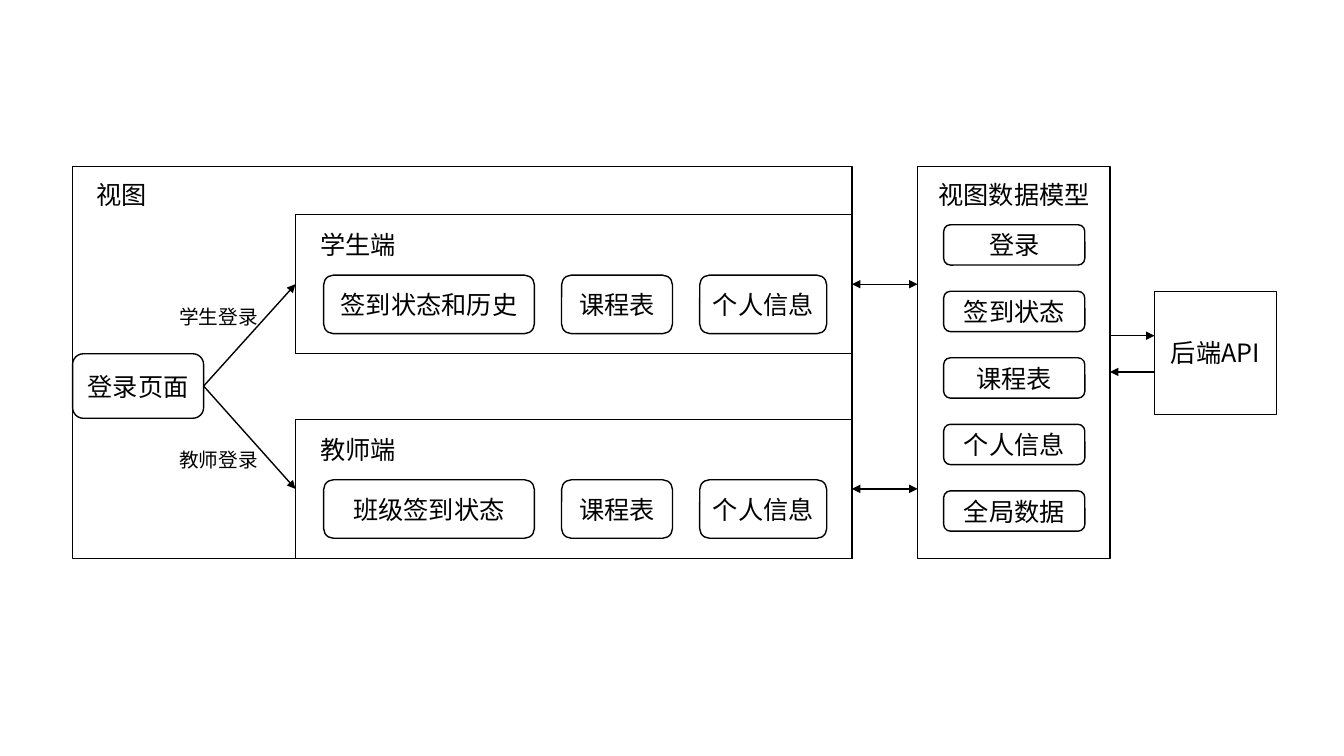
from dataclasses import dataclass

from lxml import etree
from pptx import Presentation
from pptx.dml.color import RGBColor
from pptx.enum.shapes import MSO_CONNECTOR, MSO_SHAPE
from pptx.enum.text import MSO_ANCHOR, MSO_AUTO_SIZE, PP_ALIGN
from pptx.oxml.ns import qn
from pptx.util import Inches, Pt

RECT, ROUND = MSO_SHAPE.RECTANGLE, MSO_SHAPE.ROUNDED_RECTANGLE
STRAIGHT = MSO_CONNECTOR.STRAIGHT
MIDDLE, CENTER, LEFT = MSO_ANCHOR.MIDDLE, PP_ALIGN.CENTER, PP_ALIGN.LEFT
GROW = MSO_AUTO_SIZE.SHAPE_TO_FIT_TEXT


@dataclass(frozen=True)
class Theme:
    font: str = "Noto Sans CJK SC"
    ink: RGBColor = RGBColor(0, 0, 0)
    body: int = 18
    small: int = 14
    line: float = 1


class Diagram:
    def __init__(self, s, theme):
        self.s, self.theme = s, theme

    def set_text(self, tf, text, size, align):
        p = tf.paragraphs[0]
        p.text, p.alignment = text, align
        p.font.size, p.font.name = Pt(size), self.theme.font
        p.font.color.rgb = self.theme.ink
        # Chinese glyphs take the East Asian typeface
        props = p._p.pPr.find(qn("a:defRPr"))
        etree.SubElement(props, qn("a:ea"), typeface=self.theme.font)

    def box(self, kind, x, y, w, h, text="", parent=None):
        sp = (parent or self.s).shapes.add_shape(
            kind, Inches(x), Inches(y), Inches(w), Inches(h))
        sp.shadow.inherit = False
        sp.fill.background()
        sp.line.color.rgb = self.theme.ink
        sp.line.width = Pt(self.theme.line)
        if text:
            tf = sp.text_frame
            tf.word_wrap, tf.vertical_anchor = True, MIDDLE
            tf.margin_left = tf.margin_right = Inches(0.05)
            self.set_text(tf, text, self.theme.body, CENTER)

    def label(self, x, y, w, h, text, size=None, parent=None):
        sp = (parent or self.s).shapes.add_textbox(
            Inches(x), Inches(y), Inches(w), Inches(h))
        tf = sp.text_frame
        tf.word_wrap, tf.auto_size = False, GROW
        self.set_text(tf, text, size or self.theme.body, LEFT)

    def arrow(self, x1, y1, x2, y2, both=False):
        cx = self.s.shapes.add_connector(
            STRAIGHT, Inches(x1), Inches(y1), Inches(x2), Inches(y2))
        cx.line.color.rgb = self.theme.ink
        cx.line.width = Pt(self.theme.line)
        ln = cx._element.spPr.find(qn("a:ln"))
        for end in ("a:headEnd", "a:tailEnd") if both else ("a:tailEnd",):
            etree.SubElement(ln, qn(end), type="triangle")
        etree.SubElement(cx._element.spPr, qn("a:effectLst"))

    def panel(self, x, y, w, h, title, pages):
        """A client panel: heading and a row of pages, grouped."""
        group = self.s.shapes.add_group_shape()
        self.box(RECT, x, y, w, h, parent=group)
        self.label(x + 0.15, y + 0.1, 0.96, 0.4, title, parent=group)
        page_x = x + 0.28
        for page, page_w in zip(pages, PAGE_WIDTHS):
            self.box(ROUND, page_x, y + 0.6, page_w, 0.58, page, group)
            page_x += page_w + PAGE_GAP


# Layout
TOP, HEIGHT = 1.65, 3.89
VIEW_X, VIEW_W = 0.72, 7.73
PANEL_X, PANEL_H = 2.93, 1.38
VIEW_RIGHT = VIEW_X + VIEW_W
MODEL_X, MODEL_W = 9.1, 1.91
MODEL_RIGHT = MODEL_X + MODEL_W
API_X = 11.45
LOGIN_W, LOGIN_MID = 1.3, 3.83
PAGE_WIDTHS, PAGE_GAP = (2.09, 1.1, 1.26), 0.27
ITEM_PITCH = 0.66

CLIENTS = [
    (2.13, "学生端", ("签到状态和历史", "课程表", "个人信息"), "学生登录", 2.98),
    (4.16, "教师端", ("班级签到状态", "课程表", "个人信息"), "教师登录", 4.39),
]
MODEL_ITEMS = ("登录", "签到状态", "课程表", "个人信息", "全局数据")

prs = Presentation()
prs.slide_width, prs.slide_height = Inches(13.33), Inches(7.5)
theme = Theme()
d = Diagram(prs.slides.add_slide(prs.slide_layouts[6]), theme)

# View with the login page
d.box(RECT, VIEW_X, TOP, VIEW_W, HEIGHT)
d.label(0.86, 1.73, 0.73, 0.4, "视图")
d.box(ROUND, VIEW_X, 3.51, LOGIN_W, 0.64, "登录页面")

# Student and teacher clients, with their routes
for y, title, pages, route, route_y in CLIENTS:
    mid = y + PANEL_H / 2
    d.panel(PANEL_X, y, VIEW_RIGHT - PANEL_X, PANEL_H, title, pages)
    d.arrow(VIEW_X + LOGIN_W, LOGIN_MID, PANEL_X, mid)
    d.label(1.68, route_y, 0.98, 0.34, route, theme.small)
    d.arrow(VIEW_RIGHT, mid, MODEL_X, mid, both=True)

# View data model
d.box(RECT, MODEL_X, TOP, MODEL_W, HEIGHT)
d.label(9.21, 1.73, 1.7, 0.4, "视图数据模型")
for i, item in enumerate(MODEL_ITEMS):
    d.box(ROUND, 9.36, 2.23 + i * ITEM_PITCH, 1.4, 0.4, item)

# Back end
d.box(RECT, API_X, 2.89, 1.21, 1.22, "后端API")
d.arrow(MODEL_RIGHT, 3.33, API_X, 3.33)
d.arrow(API_X, 3.69, MODEL_RIGHT, 3.69)

prs.save("out.pptx")
